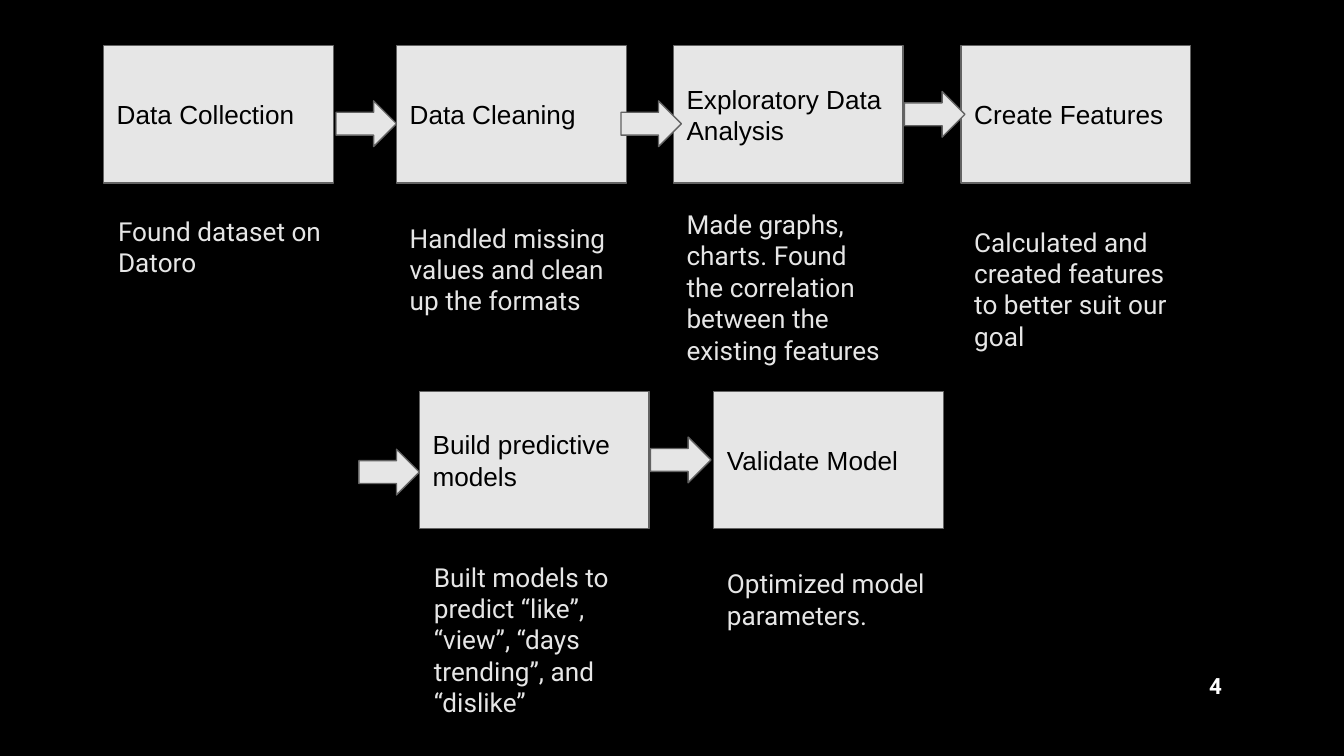
"""Build a slide with the six steps of a data project joined by block arrows."""
from typing import NamedTuple, Optional

import pptx
import pptx.dml.color
import pptx.enum.shapes
import pptx.enum.text
import pptx.util

WIDTH = pptx.util.Inches(10)
HEIGHT = WIDTH * 9 // 16
BLACK, WHITE, PALE, GREY = "000000", "FFFFFF", "E6E6E6", "636363"
ROWS = (6.05, 51.78)
BOX_WIDTH, BOX_HEIGHT = 17.1, 18.15
ARROW_WIDTH, ARROW_HEIGHT = 4.5, 6.05
CAPTION_PADDING, LINE_HEIGHT = 3.56, 4.19


class Area(NamedTuple):
    """Left, top, width and height in percent of the slide's size."""

    left: float
    top: float
    width: float
    height: float

    def lengths(self) -> tuple[int, int, int, int]:
        """Return the area in slide units."""
        return (
            round(WIDTH * self.left / 100),
            round(HEIGHT * self.top / 100),
            round(WIDTH * self.width / 100),
            round(HEIGHT * self.height / 100),
        )


class Offset(NamedTuple):
    """Distance from the top left corner of a step's box, in percent."""

    across: float
    down: float


class Step(NamedTuple):
    """A titled box, its caption below and the arrow leading to it."""

    title: str
    left: float
    row: int
    caption: str
    caption_lines: int
    caption_offset: Offset
    arrow_offset: Optional[Offset] = None

    def area(self, offset: Offset, width: float, height: float) -> Area:
        """Return an area placed relative to the box."""
        return Area(self.left + offset.across, ROWS[self.row] + offset.down, width, height)


STEPS = (
    Step("Data Collection", 7.7, 0, "Found dataset on Datoro", 2, Offset(0.1, 20.64)),
    Step("Data Cleaning", 29.5, 0, "Handled missing values and clean up the formats",
         3, Offset(0, 21.53), Offset(-4.5, 7.3)),
    Step("Exploratory Data Analysis", 50.1, 0,
         "Made graphs, charts. Found the correlation between the existing features",
         5, Offset(0, 19.75), Offset(-3.9, 7.3)),
    Step("Create Features", 71.5, 0, "Calculated and created features to better suit our goal",
         4, Offset(0, 22.06), Offset(-4.2, 6.05)),
    Step("Build predictive models", 31.2, 1,
         "Built models to predict “like”, “view”, “days trending”, and “dislike”",
         5, Offset(0.1, 20.64), Offset(-4.5, 7.65)),
    Step("Validate Model", 53.1, 1, "Optimized model parameters.",
         2, Offset(0, 21.53), Offset(-4.7, 6.05)),
)


def color(value: str) -> pptx.dml.color.RGBColor:
    """Turn a hex string into a colour."""
    return pptx.dml.color.RGBColor.from_string(value)


def write(shape, text: str, font: str, ink: str, size: float = 14, bold: bool = False,
          align=pptx.enum.text.PP_ALIGN.LEFT, anchor=pptx.enum.text.MSO_ANCHOR.TOP) -> None:
    """Fill a shape with one run of wrapped text."""
    frame = shape.text_frame
    frame.word_wrap = True
    frame.vertical_anchor = anchor
    frame.margin_left = frame.margin_right = pptx.util.Inches(0.1)
    frame.margin_top = frame.margin_bottom = pptx.util.Inches(0.1)
    paragraph = frame.paragraphs[0]
    paragraph.alignment = align
    run = paragraph.add_run()
    run.text = text
    run.font.name = font
    run.font.size = pptx.util.Pt(size)
    run.font.bold = bold
    run.font.color.rgb = color(ink)


def add_block(slide, kind: pptx.enum.shapes.MSO_SHAPE, area: Area):
    """Add a pale preset shape with a thin grey outline."""
    shape = slide.shapes.add_shape(kind, *area.lengths())
    shape.shadow.inherit = False
    shape.fill.solid()
    shape.fill.fore_color.rgb = color(PALE)
    shape.line.color.rgb = color(GREY)
    shape.line.width = pptx.util.Pt(0.75)
    return shape


def add_step(slide, step: Step) -> None:
    """Add the box and the caption of a step."""
    box = add_block(slide, pptx.enum.shapes.MSO_SHAPE.RECTANGLE,
                    step.area(Offset(0, 0), BOX_WIDTH, BOX_HEIGHT))
    write(box, step.title, "Arial", BLACK, anchor=pptx.enum.text.MSO_ANCHOR.MIDDLE)
    height = CAPTION_PADDING + LINE_HEIGHT * step.caption_lines
    area = step.area(step.caption_offset, BOX_WIDTH, height)
    caption = slide.shapes.add_textbox(*area.lengths())
    write(caption, step.caption, "Roboto", PALE)
    caption.text_frame.auto_size = pptx.enum.text.MSO_AUTO_SIZE.SHAPE_TO_FIT_TEXT


def main() -> None:
    """Build and save the presentation."""
    presentation = pptx.Presentation()
    presentation.slide_width, presentation.slide_height = WIDTH, HEIGHT
    slide = presentation.slides.add_slide(presentation.slide_layouts[6])
    slide.background.fill.solid()
    slide.background.fill.fore_color.rgb = color(BLACK)
    number = slide.shapes.add_textbox(*Area(85.9, 87.11, 6, 7.65).lengths())
    write(number, "4", "Roboto", WHITE, size=12, bold=True,
          align=pptx.enum.text.PP_ALIGN.RIGHT)
    for step in STEPS:
        add_step(slide, step)
    for step in STEPS:
        if step.arrow_offset:
            add_block(slide, pptx.enum.shapes.MSO_SHAPE.RIGHT_ARROW,
                      step.area(step.arrow_offset, ARROW_WIDTH, ARROW_HEIGHT))
    presentation.save("out.pptx")


if __name__ == "__main__":
    main()
